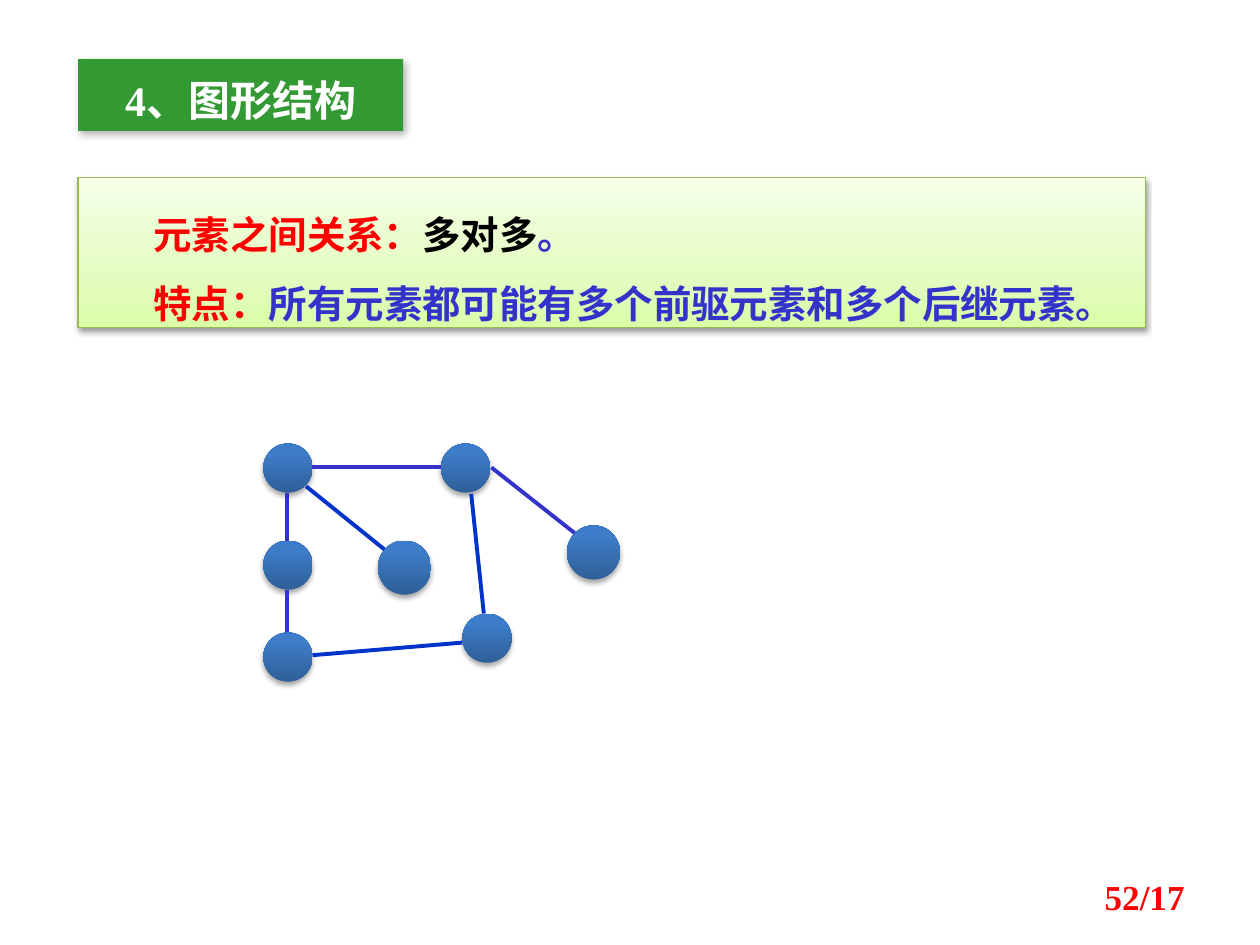
from dataclasses import dataclass
from typing import NamedTuple

from lxml import etree
from pptx import Presentation
from pptx.dml.color import RGBColor
from pptx.enum.shapes import MSO_CONNECTOR, MSO_SHAPE
from pptx.enum.text import MSO_ANCHOR, PP_ALIGN
from pptx.oxml.ns import qn
from pptx.util import Inches, Pt

RECT, OVAL = MSO_SHAPE.RECTANGLE, MSO_SHAPE.OVAL
LINE = MSO_CONNECTOR.STRAIGHT
TOP, MIDDLE = MSO_ANCHOR.TOP, MSO_ANCHOR.MIDDLE
CENTER, RIGHT, JUSTIFY = PP_ALIGN.CENTER, PP_ALIGN.RIGHT, PP_ALIGN.JUSTIFY


class Shade(NamedTuple):
    alpha: int
    blur: float
    dist: float
    angle: int


class Run(NamedTuple):
    text: str
    color: str
    font: str


class Node(NamedTuple):
    left: float
    top: float
    wide: float = 0.39
    high: float = 0.39


class Edge(NamedTuple):
    x1: float
    y1: float
    x2: float
    y2: float
    color: str


@dataclass(frozen=True)
class Theme:
    red: str = "FF0000"
    black: str = "000000"
    white: str = "FFFFFF"
    blue: str = "3333CC"
    deep: str = "0033CC"
    green: str = "339933"
    rim: str = "98B955"
    lime: tuple = ((0, "DAFDA7"), (35, "E4FCC2"), (100, "F5FFE7"))
    ball: tuple = ((0, "2F5F99"), (80, "3D7CC7"), (100, "3A7CCB"))
    serif: str = "Times New Roman"
    sans: str = "Calibri"
    head: int = 24
    body: int = 22
    page: int = 20


T = Theme()


def add_shade(shape, shade: Shade) -> None:
    shape.shadow.inherit = False
    effects = shape._element.spPr.find(qn("a:effectLst"))
    outer = etree.SubElement(
        effects, qn("a:outerShdw"), blurRad=str(Pt(shade.blur)),
        dist=str(Pt(shade.dist)), dir=str(shade.angle * 60000), rotWithShape="0")
    color = etree.SubElement(outer, qn("a:srgbClr"), val=T.black)
    etree.SubElement(color, qn("a:alpha"), val=str(shade.alpha * 1000))


def add_blend(shape, stops: tuple) -> None:
    """Fill from bottom to top with the given colour stops."""
    shape.fill.gradient()
    shape.fill.gradient_angle = 90
    items = shape._element.spPr.find(qn("a:gradFill")).find(qn("a:gsLst"))
    items.clear()
    for place, color in stops:
        stop = etree.SubElement(items, qn("a:gs"), pos=str(place * 1000))
        etree.SubElement(stop, qn("a:srgbClr"), val=color)


def add_runs(para, runs: list[Run], size: int, align) -> None:
    para.alignment = align
    for item in runs:
        run = para.add_run()
        run.text = item.text
        run.font.size = Pt(size)
        run.font.bold = True
        run.font.name = item.font
        run.font.color.rgb = RGBColor.from_string(item.color)


def set_frame(frame, anchor, top: float = 0.05, bottom: float = 0.05) -> None:
    frame.word_wrap = True
    frame.vertical_anchor = anchor
    frame.margin_left = frame.margin_right = Inches(0.1)
    frame.margin_top, frame.margin_bottom = Inches(top), Inches(bottom)


def add_node(slide, node: Node) -> None:
    shape = slide.shapes.add_shape(OVAL, *map(Inches, node))
    add_blend(shape, T.ball)
    shape.line.fill.background()
    add_shade(shape, Shade(35, 3.1, 1.8, 90))


def add_edge(slide, edge: Edge) -> None:
    line = slide.shapes.add_connector(LINE, *map(Inches, edge[:4]))
    line.line.color.rgb = RGBColor.from_string(edge.color)
    line.line.width = Pt(2.25)
    etree.SubElement(line._element.spPr, qn("a:effectLst"))


def add_title(slide) -> None:
    shape = slide.shapes.add_shape(RECT, *map(Inches, (0.62, 0.47, 2.58, 0.57)))
    shape.fill.solid()
    shape.fill.fore_color.rgb = RGBColor.from_string(T.green)
    shape.line.fill.background()
    add_shade(shape, Shade(30, 4.5, 2.6, 53))
    set_frame(shape.text_frame, TOP, 0.12)
    add_runs(shape.text_frame.paragraphs[0],
             [Run("4、图形结构", T.white, T.serif)], T.head, CENTER)


def add_panel(slide, rows: list[list[Run]]) -> None:
    shape = slide.shapes.add_shape(RECT, *map(Inches, (0.62, 1.41, 8.47, 1.19)))
    add_blend(shape, T.lime)
    shape.line.color.rgb = RGBColor.from_string(T.rim)
    shape.line.width = Pt(0.75)
    add_shade(shape, Shade(38, 3.1, 1.6, 90))
    frame = shape.text_frame
    set_frame(frame, TOP, 0.08, 0)
    for i, runs in enumerate(rows):
        para = frame.add_paragraph() if i else frame.paragraphs[0]
        para.line_spacing = 1.5
        para._p.get_or_add_pPr().set("indent", str(Inches(0.5)))
        add_runs(para, runs, T.body, JUSTIFY)


def add_page(slide) -> None:
    box = slide.shapes.add_textbox(*map(Inches, (7.17, 6.95, 2.33, 0.4)))
    set_frame(box.text_frame, MIDDLE)
    para = box.text_frame.paragraphs[0]
    para.line_spacing = 0.8
    add_runs(para, [Run("52/17", T.red, T.serif)], T.page, RIGHT)


ROWS = [
    [Run("元素", T.red, T.sans), Run("之间关系：", T.red, T.serif),
     Run("多对多", T.black, T.serif), Run("。", T.blue, T.serif)],
    [Run("特点：", T.red, T.serif), Run("所有元素", T.blue, T.sans),
     Run("都可能有多个前驱", T.blue, T.serif), Run("元素", T.blue, T.sans),
     Run("和多个", T.blue, T.serif), Run("后继元素", T.blue, T.sans),
     Run("。", T.blue, T.serif)],
]
NODES = [
    Node(2.09, 3.52), Node(3.5, 3.52), Node(2.09, 4.29),
    Node(3, 4.29, 0.42, 0.43), Node(3.67, 4.87), Node(2.09, 5.02),
    Node(4.5, 4.17, 0.42, 0.43),
]
EDGES = [
    Edge(2.43, 3.86, 3.05, 4.36, T.deep),
    Edge(2.48, 5.2, 3.67, 5.1, T.deep),
    Edge(3.74, 3.92, 3.84, 4.87, T.deep),
    Edge(2.28, 3.91, 2.28, 4.29, T.blue),
    Edge(2.28, 4.68, 2.28, 5.02, T.blue),
    Edge(3.9, 3.71, 4.56, 4.23, T.blue),
    Edge(2.48, 3.71, 3.5, 3.71, T.blue),
]


def main() -> None:
    deck = Presentation()
    deck.slide_width, deck.slide_height = Inches(10), Inches(7.5)
    slide = deck.slides.add_slide(deck.slide_layouts[6])
    # Explanation
    add_panel(slide, ROWS)
    # Graph
    for node in NODES:
        add_node(slide, node)
    for edge in EDGES:
        add_edge(slide, edge)
    # Heading and page number
    add_title(slide)
    add_page(slide)
    deck.save("out.pptx")


if __name__ == "__main__":
    main()
